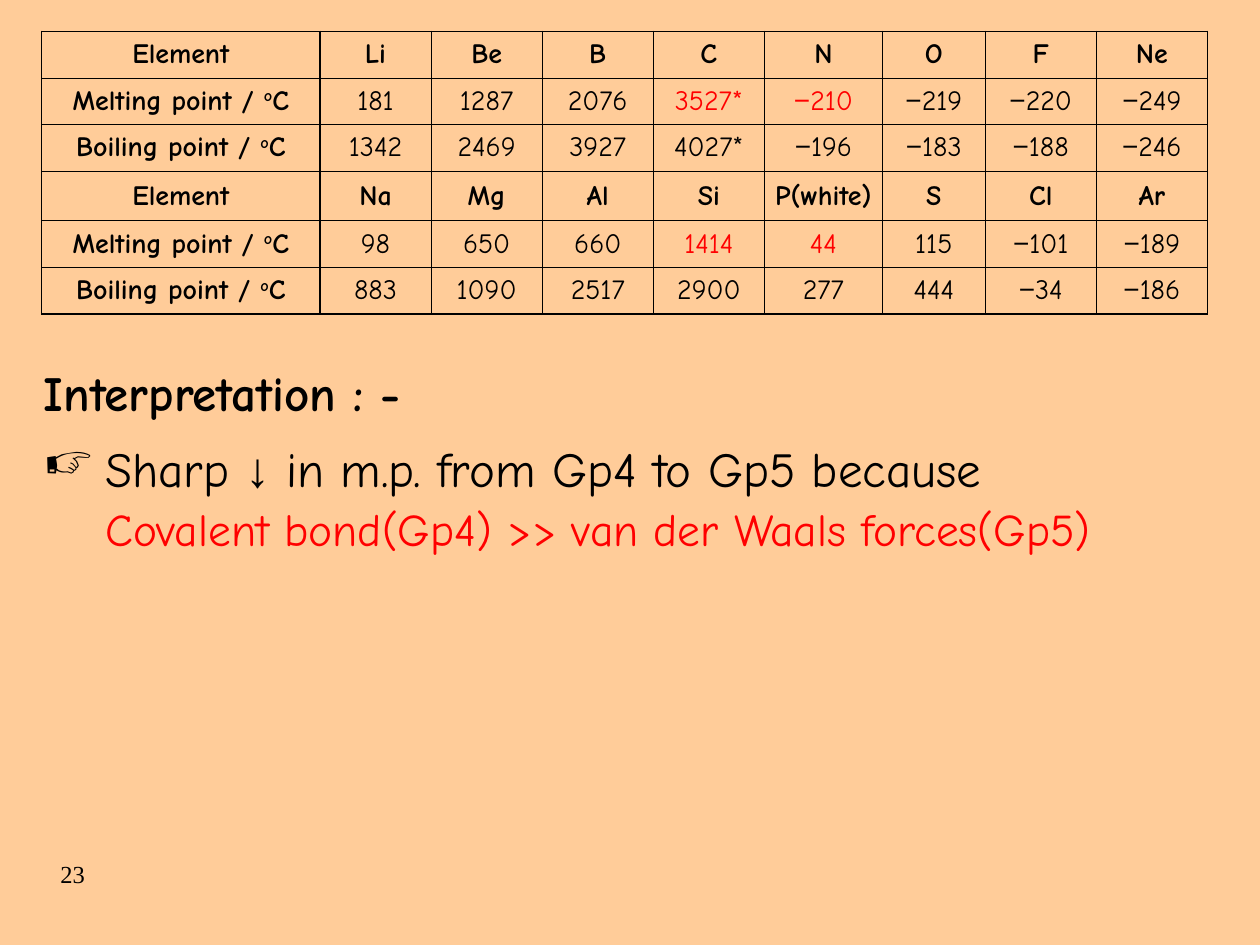
from lxml import etree
from pptx import Presentation
from pptx.dml.color import RGBColor
from pptx.enum.text import MSO_ANCHOR, PP_ALIGN
from pptx.oxml.ns import qn
from pptx.util import Cm, Pt

CENTER = PP_ALIGN.CENTER
MIDDLE = MSO_ANCHOR.MIDDLE

BLACK, RED, PEACH = "000000", "FF0000", "FFCC99"
FONT, SYMBOL_FONT, NUMBER_FONT = "Comic Neue", "Arial", "Times New Roman"
SYMBOLS = "−↓"
THICK, THIN = 0.75, 0.45

MELTING, BOILING = "Melting point / ^oC", "Boiling point / ^oC"
ROWS = [
    ["Element", "Li", "Be", "B", "C", "N", "O", "F", "Ne"],
    [MELTING, "181", "1287", "2076", "3527*", "−210", "−219", "−220", "−249"],
    [BOILING, "1342", "2469", "3927", "4027*", "−196", "−183", "−188", "−246"],
    ["Element", "Na", "Mg", "Al", "Si", "P(white)", "S", "Cl", "Ar"],
    [MELTING, "98", "650", "660", "1414", "44", "115", "−101", "−189"],
    [BOILING, "883", "1090", "2517", "2900", "277", "444", "−34", "−186"],
]
PERIOD_ROWS = 3      # element, melting point, boiling point
GROUPS_IN_RED = (4, 5)
COL_WIDTHS = [5.61, 2.24, 2.24, 2.24, 2.24, 2.38, 2.07, 2.24, 2.24]
ROW_HEIGHTS = [0.94, 0.94, 0.94, 1.0, 0.94, 0.94]


def rgb(hex_color):
    return RGBColor.from_string(hex_color)


def split_runs(text):
    """Split off symbols and the letter after ^, which is raised."""
    pieces, current, chars = [], "", iter(text)
    for ch in chars:
        if ch in SYMBOLS or ch == "^":
            if current:
                pieces.append((current, False))
            pieces.append((next(chars), True) if ch == "^" else (ch, False))
            current = ""
        else:
            current += ch
    return pieces + ([(current, False)] if current else [])


def add_text(p, text, size=28, color=BLACK, bold=False, font=FONT, align=None):
    p.alignment = align
    for piece, raised in split_runs(text):
        r = p.add_run()
        r.text = piece
        r.font.size = Pt(size)
        r.font.bold = bold
        r.font.name = SYMBOL_FONT if piece in SYMBOLS else font
        r.font.color.rgb = rgb(color)
        if raised:
            r.font._element.set("baseline", "30000")


def add_box(s, left, top, width, height):
    tf = s.shapes.add_textbox(Cm(left), Cm(top), Cm(width), Cm(height)).text_frame
    tf.word_wrap = True
    return tf


def set_indent(p, margin, bullet=None):
    """Indent a paragraph; a bullet hangs in the margin."""
    pPr = p._p.get_or_add_pPr()
    pPr.set("marL", str(Cm(margin)))
    pPr.set("indent", str(-Cm(margin) if bullet else 0))
    if bullet:
        color = etree.SubElement(pPr, qn("a:buClr"))
        etree.SubElement(color, qn("a:srgbClr"), val=BLACK)
        etree.SubElement(pPr, qn("a:buChar"), char=bullet)


def set_borders(cell, widths):
    tcPr = cell._tc.get_or_add_tcPr()
    for i, (side, width) in enumerate(widths.items()):
        ln = etree.Element(qn(f"a:ln{side}"), w=str(Pt(width)))
        fill = etree.SubElement(ln, qn("a:solidFill"))
        etree.SubElement(fill, qn("a:srgbClr"), val=BLACK)
        tcPr.insert(i, ln)


def add_points_table(s, left, top):
    """Melting and boiling points of two periods."""
    table = s.shapes.add_table(
        len(ROWS), len(COL_WIDTHS), Cm(left), Cm(top),
        Cm(sum(COL_WIDTHS)), Cm(sum(ROW_HEIGHTS))).table
    for col, width in zip(table.columns, COL_WIDTHS):
        col.width = Cm(width)
    for row, height in zip(table.rows, ROW_HEIGHTS):
        row.height = Cm(height)

    last_col = len(COL_WIDTHS) - 1
    for i, values in enumerate(ROWS):
        kind = i % PERIOD_ROWS
        for j, value in enumerate(values):
            cell = table.cell(i, j)
            cell.fill.background()
            cell.vertical_anchor = MIDDLE
            cell.margin_left = cell.margin_right = Cm(0.05)
            set_borders(cell, {
                "L": THICK if j <= 1 else THIN,
                "R": THICK if j in (0, last_col) else THIN,
                "T": THICK if kind == 0 else THIN,
                "B": THICK if kind == PERIOD_ROWS - 1 else THIN,
            })
            red = kind == 1 and j in GROUPS_IN_RED
            add_text(cell.text_frame.paragraphs[0], value, size=16, align=CENTER,
                     color=RED if red else BLACK, bold=kind == 0 or j == 0)


def add_interpretation(s, left, top):
    """Heading, bulleted statement and its reason."""
    tf = add_box(s, left, top, 11.63, 1.45)
    add_text(tf.paragraphs[0], "Interpretation : -", bold=True)

    tf = add_box(s, left, top + 1.52, 24.76, 2.64)
    p = tf.paragraphs[0]
    set_indent(p, 1.24, bullet="☞")
    add_text(p, "Sharp ↓ in m.p. from Gp4 to Gp5 because")
    p = tf.add_paragraph()
    set_indent(p, 1.24)
    p.space_before = Pt(2)
    add_text(p, "Covalent bond(Gp4) >> van der Waals forces(Gp5)", size=26, color=RED)


def add_page_number(s, left, top):
    tf = add_box(s, left, top, 3.61, 1.27)
    add_text(tf.paragraphs[0], "23", size=14, font=NUMBER_FONT)


def main():
    prs = Presentation()
    prs.slide_width, prs.slide_height = Cm(25.4), Cm(19.05)
    s = prs.slides.add_slide(prs.slide_layouts[6])
    s.background.fill.solid()
    s.background.fill.fore_color.rgb = rgb(PEACH)

    add_page_number(s, 0.97, 17.2)
    add_points_table(s, 0.84, 0.63)
    add_interpretation(s, 0.63, 7.19)
    prs.save("out.pptx")


if __name__ == "__main__":
    main()
